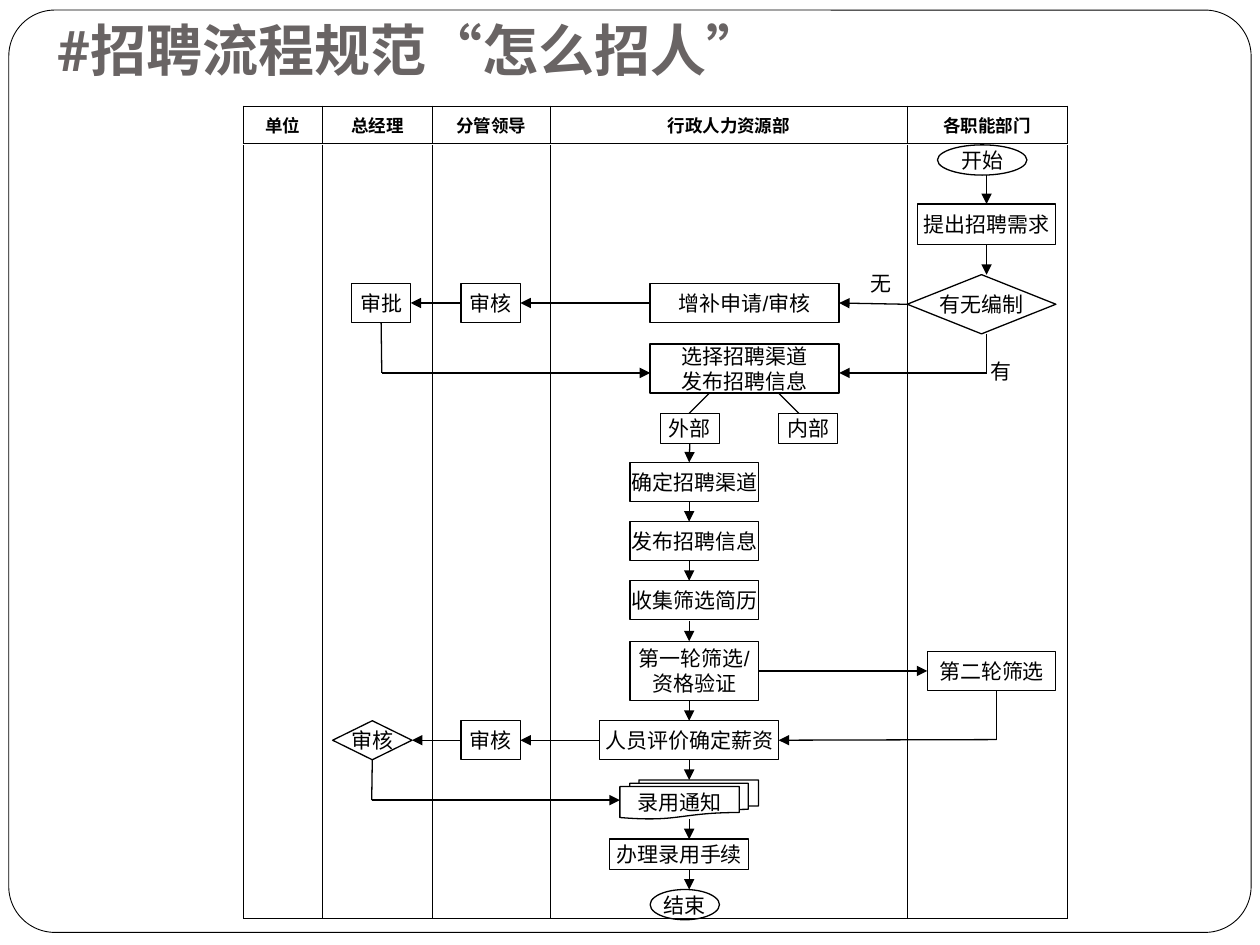
"""Build the recruiting process slide as a swimlane flow chart."""
from itertools import pairwise
from lxml.etree import SubElement
from pptx import Presentation
from pptx.dml.color import RGBColor
from pptx.enum.shapes import MSO_CONNECTOR, MSO_SHAPE
from pptx.enum.text import MSO_ANCHOR, MSO_AUTO_SIZE, PP_ALIGN
from pptx.oxml.ns import qn
from pptx.util import Inches, Pt

TITLE = "#招聘流程规范“怎么招人”"
LANES = ["单位", "总经理", "分管领导", "行政人力资源部", "各职能部门"]
EDGES = [1.93, 2.56, 3.43, 4.37, 7.2, 8.47]
HEAD, TOP, END = 0.84, 1.15, 7.29
COLORS = {"ink": "000000", "title": "696464"}
BODY = {"name": "Arial", "size": Pt(12), "bold": False}
LABEL = {"name": "Noto Sans CJK SC", "size": Pt(10), "bold": True}
LARGE = {"name": "Roboto", "size": Pt(32), "bold": True}

RECT, GEM = MSO_SHAPE.RECTANGLE, MSO_SHAPE.FLOWCHART_DECISION
STEPS = [
    ("提出招聘需求", RECT, 7.28, 1.62, 1.1, 0.32),
    ("有无编制", GEM, 7.2, 2.18, 1.18, 0.47),
    ("增补申请/审核", RECT, 5.16, 2.25, 1.5, 0.31),
    ("审核", RECT, 3.66, 2.25, 0.47, 0.31),
    ("审批", RECT, 2.79, 2.25, 0.47, 0.31),
    ("选择招聘渠道\n发布招聘信息", RECT, 5.16, 2.73, 1.5, 0.39),
    ("外部", RECT, 5.24, 3.28, 0.47, 0.24),
    ("内部", RECT, 6.18, 3.28, 0.47, 0.24),
    ("第一轮筛选/\n资格验证", RECT, 5, 5.09, 1.02, 0.47),
    ("第二轮筛选", RECT, 7.36, 5.17, 1.02, 0.31),
    ("人员评价确定薪资", RECT, 4.76, 5.72, 1.42, 0.31),
    ("审核", RECT, 3.66, 5.72, 0.47, 0.31),
    ("审核", GEM, 2.64, 5.72, 0.63, 0.31),
    ("办理录用手续", RECT, 4.84, 6.66, 1.1, 0.24),
    ("开始", MSO_SHAPE.FLOWCHART_CONNECTOR, 7.44, 1.15, 0.71, 0.24),
    ("录用通知", MSO_SHAPE.FLOWCHART_MULTIDOCUMENT, 4.92, 6.19, 1.1, 0.31),
    ("结束", MSO_SHAPE.OVAL, 5.16, 7.06, 0.55, 0.24),
]
SERIES = ["确定招聘渠道", "发布招聘信息", "收集筛选简历"]
STEPS += [(text, RECT, 5, 3.67 + 0.47 * i, 1.02, 0.31) for i, text in enumerate(SERIES)]

SPINE, GAP = 5.47, 0.16
DROPS = [3.51, 3.98, 4.45, 4.93, 5.56, 6.03, 6.5, 6.9]
ROUTES = [
    [(7.83, 1.39), (7.83, 1.62)],
    [(7.83, 1.94), (7.83, 2.18)],
    [(7.2, 2.41), (6.66, 2.41)],
    [(5.16, 2.41), (4.13, 2.41)],
    [(3.66, 2.41), (3.26, 2.41)],
    [(3.03, 2.56), (3.03, 2.96), (5.16, 2.96)],
    [(7.83, 2.65), (7.83, 2.96), (6.66, 2.96)],
    [(6.02, 5.32), (7.36, 5.32)],
    [(7.91, 5.48), (7.91, 5.87), (6.18, 5.87)],
    [(4.76, 5.87), (4.13, 5.87)],
    [(3.66, 5.87), (3.27, 5.87)],
    [(2.95, 6.03), (2.95, 6.35), (4.92, 6.35)],
] + [[(SPINE, y), (SPINE, y + GAP)] for y in DROPS]
FORKS = [[(5.63, 3.12), (5.47, 3.28)], [(6.18, 3.12), (6.34, 3.28)]]
NOTES = [("有", 7.76, 2.8, 0.36, False), ("无", 6.81, 2.1, 0.39, True)]


def style(frame, text, look, color="ink", align=PP_ALIGN.CENTER,
          anchor=MSO_ANCHOR.MIDDLE, wrap=False):
    frame.text = text
    frame.word_wrap = wrap
    frame.vertical_anchor = anchor
    for para in frame.paragraphs:
        para.alignment = align
        for run in para.runs:
            for key, value in look.items():
                setattr(run.font, key, value)
            run.font.color.rgb = RGBColor.from_string(COLORS[color])
            SubElement(run.font._element, qn("a:ea"), typeface=LABEL["name"])


def ink(line, width=0.75):
    line.color.rgb = RGBColor.from_string(COLORS["ink"])
    line.width = Pt(width)


def add_shape(shapes, kind, *box, width=0.75):
    shape = shapes.add_shape(kind, *map(Inches, box))
    shape.shadow.inherit = False
    shape.fill.background()
    ink(shape.line, width)
    return shape


def join(point, ports, attach):
    for shape, site, x, y in ports:
        if max(abs(point[0] - x), abs(point[1] - y)) < 0.02:
            attach(shape, site)
            return


def add_line(shapes, start, stop, ports=(), arrow=False):
    line = shapes.add_connector(MSO_CONNECTOR.STRAIGHT, *map(Inches, start + stop))
    ink(line.line)
    props = line._element.spPr
    if arrow:
        SubElement(props.find(qn("a:ln")), qn("a:tailEnd"), type="triangle")
    SubElement(props, qn("a:effectLst"))
    join(start, ports, line.begin_connect)
    join(stop, ports, line.end_connect)


def border(cell):
    props = cell._tc.get_or_add_tcPr()
    for i, side in enumerate(["lnL", "lnR", "lnT", "lnB"]):
        line = SubElement(props, qn(f"a:{side}"), w=str(Pt(0.45)))
        fill = SubElement(line, qn("a:solidFill"))
        SubElement(fill, qn("a:srgbClr"), val=COLORS["ink"])
        props.insert(i, line)


def add_lanes(shapes):
    box = (EDGES[0], HEAD, EDGES[-1] - EDGES[0], 0.3)
    table = shapes.add_table(1, len(LANES), *map(Inches, box)).table
    table.first_row = table.horz_banding = False
    for i, (left, right) in enumerate(pairwise(EDGES)):
        table.columns[i].width = Inches(right - left)
        cell = table.cell(0, i)
        style(cell.text_frame, LANES[i], LABEL, wrap=True)
        cell.vertical_anchor = MSO_ANCHOR.MIDDLE
        cell.fill.background()
        border(cell)
    for x in EDGES:
        add_line(shapes, (x, TOP), (x, END))
    add_line(shapes, (EDGES[0], END), (EDGES[-1], END))


def add_steps(shapes):
    ports = []
    for text, kind, x, y, w, h in STEPS:
        shape = add_shape(shapes, kind, x, y, w, h)
        style(shape.text_frame, text, BODY)
        if kind in (RECT, GEM):
            mids = [(x + w / 2, y), (x, y + h / 2), (x + w / 2, y + h), (x + w, y + h / 2)]
            ports += [(shape, site, *mid) for site, mid in enumerate(mids)]
    return ports


def main():
    deck = Presentation()
    deck.slide_width, deck.slide_height = Inches(10), Inches(7.5)
    slide = deck.slides.add_slide(deck.slide_layouts[5])
    shapes = slide.shapes
    title = shapes.title
    place = {"left": 0.35, "top": 0.21, "width": 7.4, "height": 0.55}
    for key, value in place.items():
        setattr(title, key, Inches(value))
    style(title.text_frame, TITLE, LARGE, "title", PP_ALIGN.LEFT, MSO_ANCHOR.BOTTOM, True)
    title.text_frame.auto_size = MSO_AUTO_SIZE.NONE
    title.text_frame.margin_bottom = Inches(0.1)

    frame = add_shape(shapes, MSO_SHAPE.ROUNDED_RECTANGLE, 0.07, 0.08, 9.86, 7.32, width=0.5)
    frame.adjustments[0] = 0.05
    add_lanes(shapes)
    ports = add_steps(shapes)
    for route in ROUTES:
        legs = list(pairwise(route))
        for leg in legs:
            add_line(shapes, *leg, ports, arrow=leg == legs[-1])
    for fork in FORKS:
        add_line(shapes, *fork)
    for text, x, y, w, wrap in NOTES:
        note = shapes.add_textbox(*map(Inches, (x, y, w, 0.3)))
        style(note.text_frame, text, BODY, align=PP_ALIGN.LEFT, anchor=MSO_ANCHOR.TOP, wrap=wrap)
    deck.save("out.pptx")


if __name__ == "__main__":
    main()
